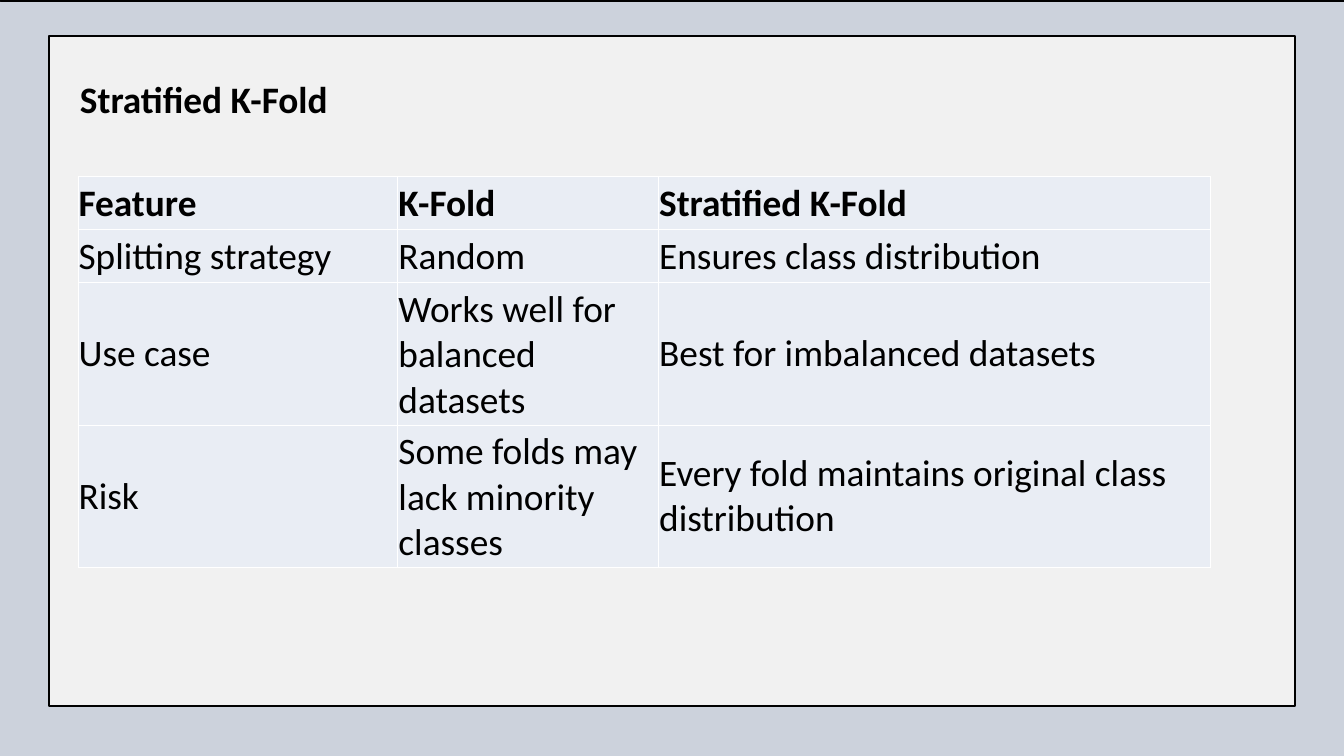
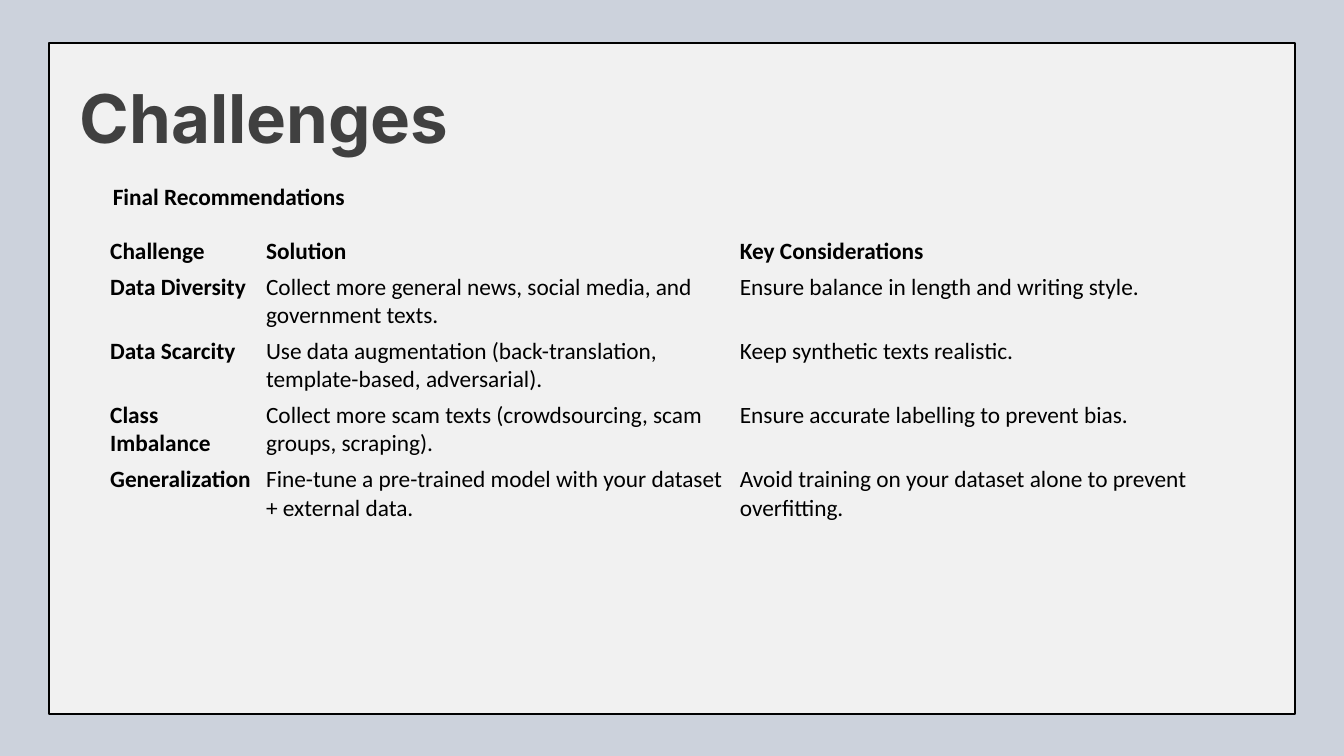
"""Build two framed slides, each with a title and a table."""
import pptx
import pptx.util
import pptx.dml.color
import pptx.enum.shapes
import pptx.enum.text
import pptx.oxml.ns
from lxml import etree

RGB = pptx.dml.color.RGBColor
BACK = RGB(0xCC, 0xD2, 0xDC)
PANEL = RGB(0xF1, 0xF1, 0xF1)
INK = RGB(0, 0, 0)
GRAY = RGB(0x40, 0x40, 0x40)
CELL = RGB(0xE9, 0xED, 0xF4)
WHITE = RGB(0xFF, 0xFF, 0xFF)
MID = pptx.enum.text.MSO_ANCHOR.MIDDLE
TOP = pptx.enum.text.MSO_ANCHOR.TOP

COLS, ROWS = 2000, 1125
UNIT = pptx.util.Inches(20) // COLS
EDGE, WIDE, TALL = 73, 1854, 998

FOLDS = {
    "panel": 53,
    "rule": True,
    "title": ("Stratified K-Fold", 67, ("Calibri", 40, INK, True)),
    "notes": [],
    "table": {
        "at": (116, 263),
        "cols": (476, 388, 821),
        "rows": (77, 79, 210, 211),
        "pads": (1, 6),
        "size": 40,
        "anchor": MID,
        "fill": CELL,
        "line": WHITE,
        "bold": 0,
        "cells": [
            ("Feature", "K-Fold", "Stratified K-Fold"),
            ("Splitting strategy", "Random", "Ensures class distribution"),
            ("Use case", "Works well for balanced datasets",
             "Best for imbalanced datasets"),
            ("Risk", "Some folds may lack minority classes",
             "Every fold maintains original class distribution"),
        ],
    },
}

TASKS = {
    "panel": 64,
    "rule": False,
    "title": ("Challenges", 121, ("Inter", 72, GRAY, True)),
    "notes": [("Final Recommendations", (158, 266, 370, 94),
               ("Calibri", 25, INK, True))],
    "table": {
        "at": (158, 347),
        "cols": (232, 705, 718),
        "rows": (48, 77, 77, 77, 77),
        "pads": (6, 6),
        "size": 25,
        "anchor": TOP,
        "fill": None,
        "line": None,
        "bold": 1,
        "cells": [
            ("Challenge", "Solution", "Key Considerations"),
            ("Data Diversity",
             "Collect more general news, social media, and government texts.",
             "Ensure balance in length and writing style."),
            ("Data Scarcity",
             "Use data augmentation (back-translation, template-based, adversarial).",
             "Keep synthetic texts realistic."),
            ("Class Imbalance",
             "Collect more scam texts (crowdsourcing, scam groups, scraping).",
             "Ensure accurate labelling to prevent bias."),
            ("Generalization",
             "Fine-tune a pre-trained model with your dataset + external data.",
             "Avoid training on your dataset alone to prevent overfitting."),
        ],
    },
}


def grid(*spans):
    return [span * UNIT for span in spans]


def apply(item, values):
    for name, value in values.items():
        setattr(item, name, value)


def write(frame, text, style):
    face, size, color, bold = style
    para = frame.paragraphs[0]
    para.text = text
    font = para.runs[0].font
    apply(font, {"name": face, "size": pptx.util.Pt(size), "bold": bold})
    font.color.rgb = color


def block(slide, spot, fill, width):
    kind = pptx.enum.shapes.MSO_SHAPE.RECTANGLE
    shape = slide.shapes.add_shape(kind, *grid(*spot))
    shape.shadow.inherit = False
    shape.fill.solid()
    shape.fill.fore_color.rgb = fill
    shape.line.color.rgb = INK
    shape.line.width = pptx.util.Pt(width)


def label(slide, text, spot, style, wrap, pads):
    frame = slide.shapes.add_textbox(*grid(*spot)).text_frame
    sides = ("margin_left", "margin_top", "margin_right", "margin_bottom")
    apply(frame, dict(zip(sides, grid(*pads)), word_wrap=wrap))
    write(frame, text, style)


def border(cell, color):
    tag = pptx.oxml.ns.qn
    props = cell._tc.get_or_add_tcPr()
    for side in "LRTB":
        line = etree.SubElement(props, tag("a:ln" + side), w="12700")
        if color is None:
            etree.SubElement(line, tag("a:noFill"))
        else:
            fill = etree.SubElement(line, tag("a:solidFill"))
            etree.SubElement(fill, tag("a:srgbClr"), val=str(color))


def tabulate(slide, data):
    cells, cols, rows = data["cells"], data["cols"], data["rows"]
    spot = grid(*data["at"], sum(cols), sum(rows))
    table = slide.shapes.add_table(len(rows), len(cols), *spot).table
    apply(table, {"first_row": False, "horz_banding": False})
    for col, width in zip(table.columns, grid(*cols)):
        col.width = width
    for row, height in zip(table.rows, grid(*rows)):
        row.height = height
    side, end = grid(*data["pads"])
    form = {"margin_left": side, "margin_right": side, "margin_top": end,
            "margin_bottom": end, "vertical_anchor": data["anchor"]}
    for r, texts in enumerate(cells):
        for c, text in enumerate(texts):
            cell = table.cell(r, c)
            apply(cell, form)
            border(cell, data["line"])
            if data["fill"] is None:
                cell.fill.background()
            else:
                cell.fill.solid()
                cell.fill.fore_color.rgb = data["fill"]
            bold = r == 0 or c < data["bold"]
            write(cell.text_frame, text, ("Calibri", data["size"], INK, bold))


def build(deck, page):
    slide = deck.slides.add_slide(deck.slide_layouts[6])
    slide.background.fill.solid()
    slide.background.fill.fore_color.rgb = BACK
    block(slide, (EDGE, page["panel"], WIDE, TALL), PANEL, 2.25)
    text, height, style = page["title"]
    label(slide, text, (119, 114, 1808, height), style, True, (0, 0, 0, 0))
    if page["rule"]:
        block(slide, (0, 0, COLS, 2), INK, 0.75)
    tabulate(slide, page["table"])
    for text, spot, style in page["notes"]:
        label(slide, text, spot, style, False, (10, 5, 10, 5))


def main():
    deck = pptx.Presentation()
    apply(deck, {"slide_width": COLS * UNIT, "slide_height": ROWS * UNIT})
    for page in (FOLDS, TASKS):
        build(deck, page)
    deck.save("out.pptx")


if __name__ == "__main__":
    main()
